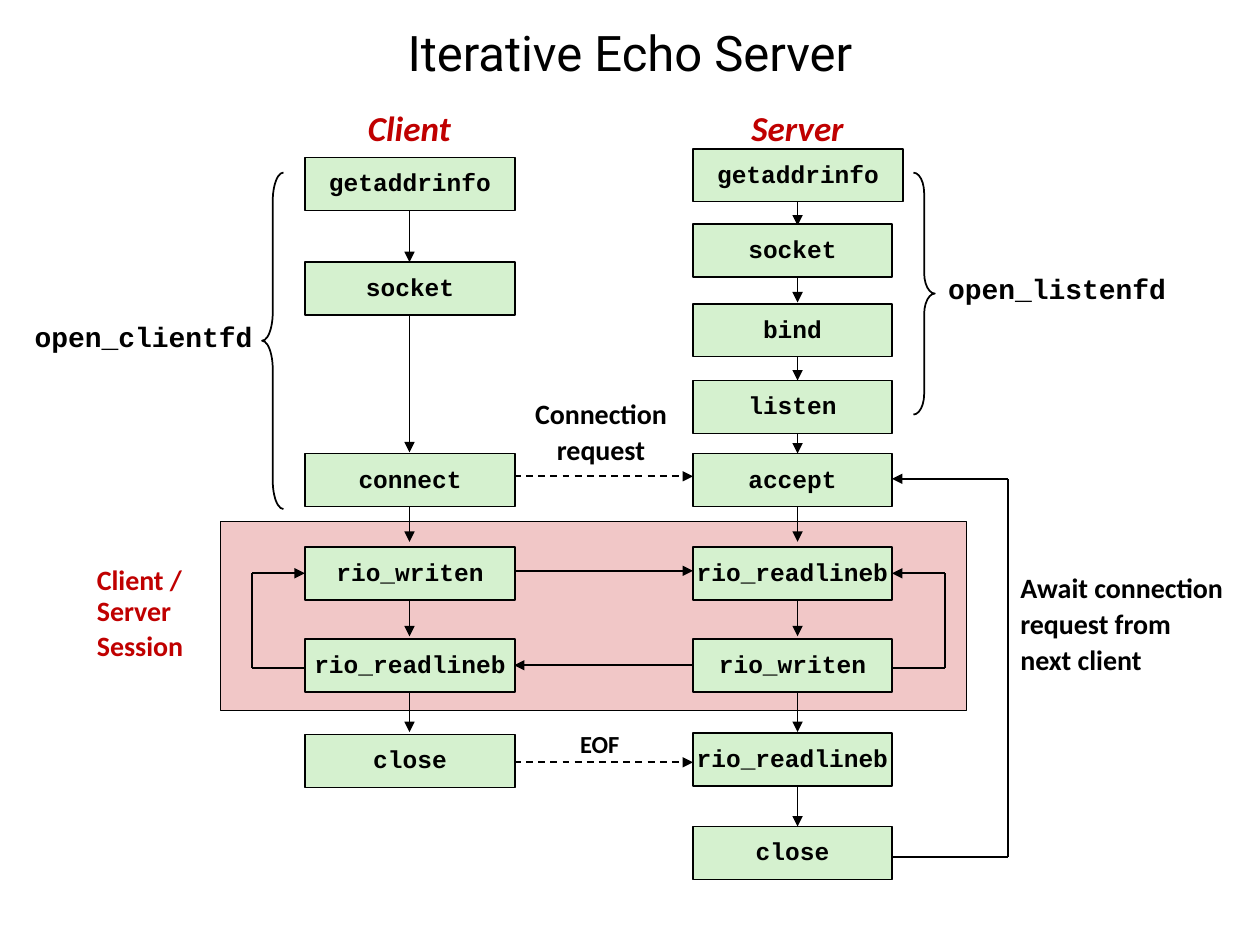
import dataclasses

import pptx
import pptx.dml.color
import pptx.enum.dml
import pptx.enum.shapes
import pptx.enum.text
import pptx.oxml
import pptx.oxml.ns
import pptx.util

Inches, Pt = pptx.util.Inches, pptx.util.Pt
RGB = pptx.dml.color.RGBColor.from_string
SHAPE = pptx.enum.shapes.MSO_SHAPE
ALIGN = pptx.enum.text.PP_ALIGN


@dataclasses.dataclass(frozen=True)
class Theme:
    ink = RGB("000000")
    accent = RGB("C00000")
    call_fill = RGB("D5F1CF")
    session_fill = RGB("F1C7C7")
    title_font = "Roboto"
    label_font = "Calibri"
    code_font = "Courier New"
    title_size = 28
    heading_size = 20
    label_size = 16
    call_size = 14
    line_width = Pt(1)


theme = Theme()


def write(frame, text, size=theme.label_size, font=theme.label_font, color=theme.ink,
          bold=True, italic=False, align=ALIGN.CENTER, wrap=False, grow=False, tight=True):
    """Put text in a frame, one paragraph per line."""
    frame.text = text
    frame.word_wrap = wrap
    frame.vertical_anchor = pptx.enum.text.MSO_ANCHOR.MIDDLE
    if grow:
        frame.auto_size = pptx.enum.text.MSO_AUTO_SIZE.SHAPE_TO_FIT_TEXT
    for paragraph in frame.paragraphs:
        paragraph.alignment = align
        if tight:
            paragraph.line_spacing = 0.9
            paragraph.space_before = Pt(size * 0.2)
        for run in paragraph.runs:
            run.font.size = Pt(size)
            run.font.name = font
            run.font.color.rgb = color
            run.font.bold = bold
            run.font.italic = italic


def draw_line(x1, y1, x2, y2, arrow=True, dashed=False):
    """Draw a straight line, with an arrowhead at its end unless told otherwise."""
    line = slide.shapes.add_connector(
        pptx.enum.shapes.MSO_CONNECTOR.STRAIGHT,
        Inches(x1), Inches(y1), Inches(x2), Inches(y2))
    line.line.color.rgb = theme.ink
    line.line.width = theme.line_width
    if dashed:
        line.line.dash_style = pptx.enum.dml.MSO_LINE.DASH
    properties = line._element.spPr
    if arrow:
        head = pptx.oxml.parse_xml(f'<a:tailEnd {pptx.oxml.ns.nsdecls("a")} type="triangle"/>')
        line.line._get_or_add_ln().append(head)
    properties.append(pptx.oxml.parse_xml(f'<a:effectLst {pptx.oxml.ns.nsdecls("a")}/>'))


deck = pptx.Presentation()
deck.slide_width, deck.slide_height = Inches(10), Inches(7.5)
slide = deck.slides.add_slide(deck.slide_layouts[5])

# Title
title = slide.shapes.title
title.left, title.top, title.width, title.height = Inches(0), Inches(0), Inches(10), Inches(0.83)
write(title.text_frame, "Iterative Echo Server", size=theme.title_size, font=theme.title_font,
      bold=False, wrap=True, tight=False)

# Columns and edges shared by boxes and arrows
client_left, client_right, client_axis = 2.42, 4.08, 3.25
server_left, server_right, server_axis = 5.5, 7.08, 6.33
call_height = 0.42

# Client / server session area
session = slide.shapes.add_shape(SHAPE.RECTANGLE, Inches(1.75), Inches(4.14), Inches(5.92), Inches(1.5))
session.shadow.inherit = False
session.fill.solid()
session.fill.fore_color.rgb = theme.session_fill
session.line.color.rgb = theme.ink
session.line.width = theme.line_width

# Downward steps; the boxes drawn later cover the starts
for axis, steps in (
    (client_axis, [(1.55, 2.08), (2.34, 3.59), (3.97, 4.3), (4.72, 5.05), (5.48, 5.81)]),
    (server_axis, [(1.45, 1.79), (2.07, 2.4), (2.69, 3.02), (3.32, 3.6), (3.97, 4.3),
                   (4.72, 5.05), (5.48, 5.81), (6.23, 6.56)]),
):
    for start, end in steps:
        draw_line(axis, start, axis, end)

# Messages between client and server
for y in (3.78, 6.05):
    draw_line(3.5, y, server_left, y, dashed=True)
draw_line(client_right, 4.53, server_left, 4.53)
draw_line(server_left, 5.28, client_right, 5.28)

# Loops back to an earlier call
for edge, outer, bottom, top in (
    (client_left, 2, 5.3, 4.55),
    (server_right, 7.5, 5.3, 4.55),
    (server_right, 8, 6.8, 3.8),
):
    draw_line(edge, bottom, outer, bottom, arrow=False)
    draw_line(outer, bottom, outer, top, arrow=False)
    draw_line(outer, top, edge, top)

# Function calls
client_calls = [("getaddrinfo", 1.25), ("socket", 2.08), ("connect", 3.6),
                ("rio_writen", 4.34), ("rio_readlineb", 5.07), ("close", 5.83)]
server_calls = [("getaddrinfo", 1.18), ("socket", 1.78), ("bind", 2.41), ("listen", 3.02),
                ("accept", 3.6), ("rio_readlineb", 4.34), ("rio_writen", 5.07),
                ("rio_readlineb", 5.82), ("close", 6.56)]
for left, column_width, calls in ((client_left, 1.67, client_calls), (server_left, 1.58, server_calls)):
    for name, top in calls:
        width = 1.67 if name == "getaddrinfo" else column_width
        call = slide.shapes.add_shape(SHAPE.RECTANGLE, Inches(left), Inches(top),
                                      Inches(width), Inches(call_height))
        call.shadow.inherit = False
        call.fill.solid()
        call.fill.fore_color.rgb = theme.call_fill
        call.line.color.rgb = theme.ink
        call.line.width = theme.line_width
        write(call.text_frame, name, size=theme.call_size, font=theme.code_font)

# Braces around the calls that each helper function wraps
for kind, left, height, curve in ((SHAPE.LEFT_BRACE, 2.08, 2.67, 1.33), (SHAPE.RIGHT_BRACE, 7.25, 1.92, 0.96)):
    brace = slide.shapes.add_shape(kind, Inches(left), Inches(1.37), Inches(0.17), Inches(height))
    brace.shadow.inherit = False
    brace.adjustments[0] = curve
    brace.fill.background()
    brace.line.color.rgb = theme.ink
    brace.line.width = theme.line_width

# Headings and labels
heading = dict(size=theme.heading_size, color=theme.accent, italic=True)
helper_name = dict(font=theme.code_font, wrap=True)
side_note = dict(align=ALIGN.LEFT, wrap=True)
for text, left, top, width, height, style in (
    ("Client", 2.82, 0.83, 0.86, 0.4, heading),
    ("Server", 5.86, 0.83, 0.94, 0.4, heading),
    ("open_clientfd", 0.17, 2.5, 1.94, 0.37, helper_name),
    ("open_listenfd", 7.42, 2.12, 1.94, 0.37, helper_name),
    ("Connection\nrequest", 4.14, 3.12, 1.26, 0.64, {}),
    ("EOF", 4.5, 5.75, 0.52, 0.34, dict(size=theme.call_size)),
    ("Client / Server\nSession", 0.67, 4.43, 0.92, 0.9, dict(side_note, color=theme.accent)),
    ("Await connection\nrequest from\nnext client", 8, 4.51, 1.83, 0.91, side_note),
):
    label = slide.shapes.add_textbox(Inches(left), Inches(top), Inches(width), Inches(height))
    write(label.text_frame, text, grow=True, **style)

deck.save("out.pptx")
